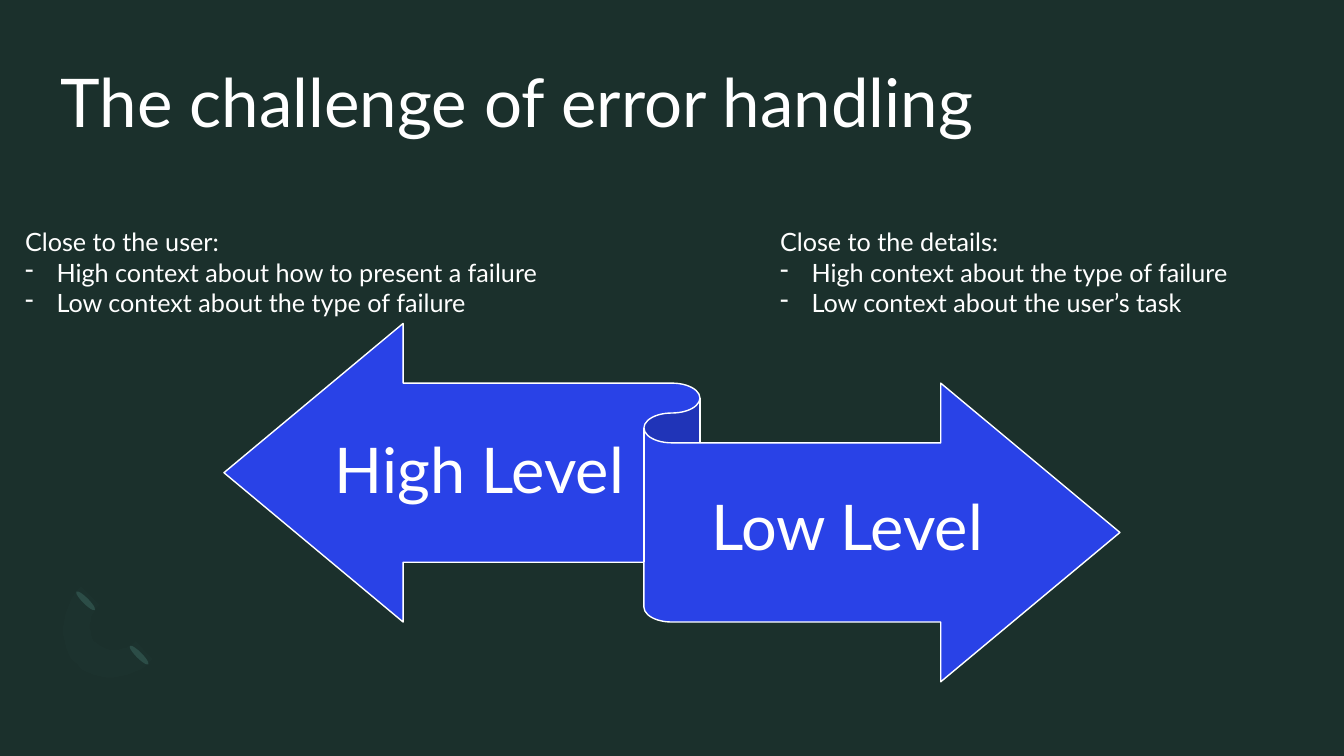
import dataclasses
import typing

import pptx
import pptx.dml.color
import pptx.enum.shapes
import pptx.enum.text
import pptx.oxml.ns
import pptx.util
from lxml import etree

Pt = pptx.util.Pt
Color = pptx.dml.color.RGBColor
Kind = pptx.enum.shapes.MSO_SHAPE
Align = pptx.enum.text.PP_ALIGN
Anchor = pptx.enum.text.MSO_ANCHOR
qn = pptx.oxml.ns.qn

DARK = Color(0x1B, 0x30, 0x2C)
MOSS = Color(0x2B, 0x4C, 0x46)
MINT = Color(0x74, 0xB1, 0xA5)
BLUE = Color(0x29, 0x42, 0xE7)
WHITE = Color(0xFF, 0xFF, 0xFF)
FONT = "Lato"
Point = tuple[float, float]


@dataclasses.dataclass
class Box:
    left: float
    top: float
    width: float
    height: float

    def place(self) -> list[int]:
        return [Pt(n) for n in (self.left, self.top, self.width, self.height)]


@dataclasses.dataclass
class Label:
    text: str
    box: Box


@dataclasses.dataclass
class Note:
    head: str
    items: list[str]
    box: Box


def style(frame: typing.Any, size: float) -> None:
    for para in frame.paragraphs:
        for run in para.runs:
            run.font.name = FONT
            run.font.size = Pt(size)
            run.font.color.rgb = WHITE


def inset(frame: typing.Any, top: float, bottom: float) -> None:
    frame.margin_left = frame.margin_right = 0
    frame.margin_top, frame.margin_bottom = Pt(top), Pt(bottom)


def curve(a: Point, b: Point, c: Point, d: Point, steps: int = 12) -> list[Point]:
    dots = []
    for step in range(1, steps + 1):
        t = step / steps
        parts = ((1 - t) ** 3, 3 * t * (1 - t) ** 2, 3 * t * t * (1 - t), t ** 3)
        dots.append(tuple(sum(k * p[i] for k, p in zip(parts, (a, b, c, d)))
                          for i in (0, 1)))
    return dots


def add_leaf(slide: typing.Any, box: Box) -> None:
    leaf = slide.shapes.add_shape(Kind.OVAL, *box.place())
    leaf.shadow.inherit = False
    leaf.rotation = 135
    leaf.fill.solid()
    leaf.fill.fore_color.rgb = MOSS
    leaf.line.fill.background()


def add_arc(slide: typing.Any) -> None:
    start, outer, inner, end = (54.7, 474.5), (58.3, 419), (71.3, 432), (97.2, 458)
    low, tip = (69.1, 459.4), (109.4, 470.9)
    dots = curve(start, (40.3, 460.1), (41.8, 435.6), outer) + [inner]
    dots += curve(inner, (62.6, 439.9), (61.9, 452.9), low)
    dots += curve(low, (76.3, 466.6), (88.6, 465.8), end) + [tip]
    dots += curve(tip, (93.6, 486.7), (68.4, 488.9), start)
    pen = slide.shapes.build_freeform(*start, scale=float(Pt(1)))
    pen.add_line_segments(dots, close=True)
    arc = pen.convert_to_shape()
    arc.shadow.inherit = False
    arc.fill.solid()
    arc.fill.fore_color.rgb = MINT
    arc.line.fill.background()
    # Faint transparency
    tint = arc.fill._xPr.find(qn("a:solidFill"))[0]
    etree.SubElement(tint, qn("a:alpha"), val="2000")


def add_label(slide: typing.Any, label: Label) -> None:
    frame = slide.shapes.add_textbox(*label.box.place()).text_frame
    frame.word_wrap = True
    frame.vertical_anchor = Anchor.MIDDLE
    inset(frame, 12.24, 13.68)
    frame.text = label.text
    frame.paragraphs[0].alignment = Align.CENTER
    frame.paragraphs[0].line_spacing = 0.9
    style(frame, 45)


def add_note(slide: typing.Any, note: Note) -> None:
    frame = slide.shapes.add_textbox(*note.box.place()).text_frame
    frame.word_wrap = True
    frame.text = "\n".join([note.head, *note.items])
    style(frame, 18)
    for para in frame.paragraphs[1:]:
        props = para._p.get_or_add_pPr()
        props.set("marL", str(Pt(22.5)))
        props.set("indent", str(-Pt(22.5)))
        etree.SubElement(props, qn("a:buFontTx"))
        etree.SubElement(props, qn("a:buChar"), char="-")


LEAVES = [Box(97.2, 458.6, 4.3, 18.7), Box(59, 419.8, 4.3, 18.7)]
LABELS = [
    Label("High Level", Box(236.9, 275.8, 211, 125.3)),
    Label("Low Level", Box(480.2, 316.8, 249.8, 125.3)),
]
NOTES = [
    Note("Close to the user:",
         ["High context about how to present a failure",
          "Low context about the type of failure"],
         Box(10.8, 158.4, 450.7, 72.7)),
    Note("Close to the details:",
         ["High context about the type of failure",
          "Low context about the user’s task"],
         Box(550.1, 158.4, 383.8, 72.7)),
]

deck = pptx.Presentation()
deck.slide_width, deck.slide_height = Pt(960), Pt(540)
slide = deck.slides.add_slide(deck.slide_layouts[5])
slide.background.fill.solid()
slide.background.fill.fore_color.rgb = DARK

# Corner ornament
for leaf in LEAVES:
    add_leaf(slide, leaf)
add_arc(slide)

# Title
title = slide.shapes.title
title.left, title.top, title.width, title.height = Box(43.2, 43.2, 873.4, 105).place()
title.text_frame.text = "The challenge of error handling"
title.text_frame.vertical_anchor = Anchor.TOP
title.text_frame.paragraphs[0].alignment = Align.LEFT
inset(title.text_frame, 0, 0)
style(title.text_frame, 48)

# Two-way ribbon and its labels
ribbon = slide.shapes.add_shape(Kind.LEFT_RIGHT_RIBBON, *Box(160, 231, 640, 256).place())
ribbon.shadow.inherit = False
ribbon.fill.solid()
ribbon.fill.fore_color.rgb = BLUE
ribbon.line.color.rgb = WHITE
ribbon.line.width = Pt(1)
for label in LABELS:
    add_label(slide, label)

# Notes above the ribbon
for note in NOTES:
    add_note(slide, note)

deck.save("out.pptx")
